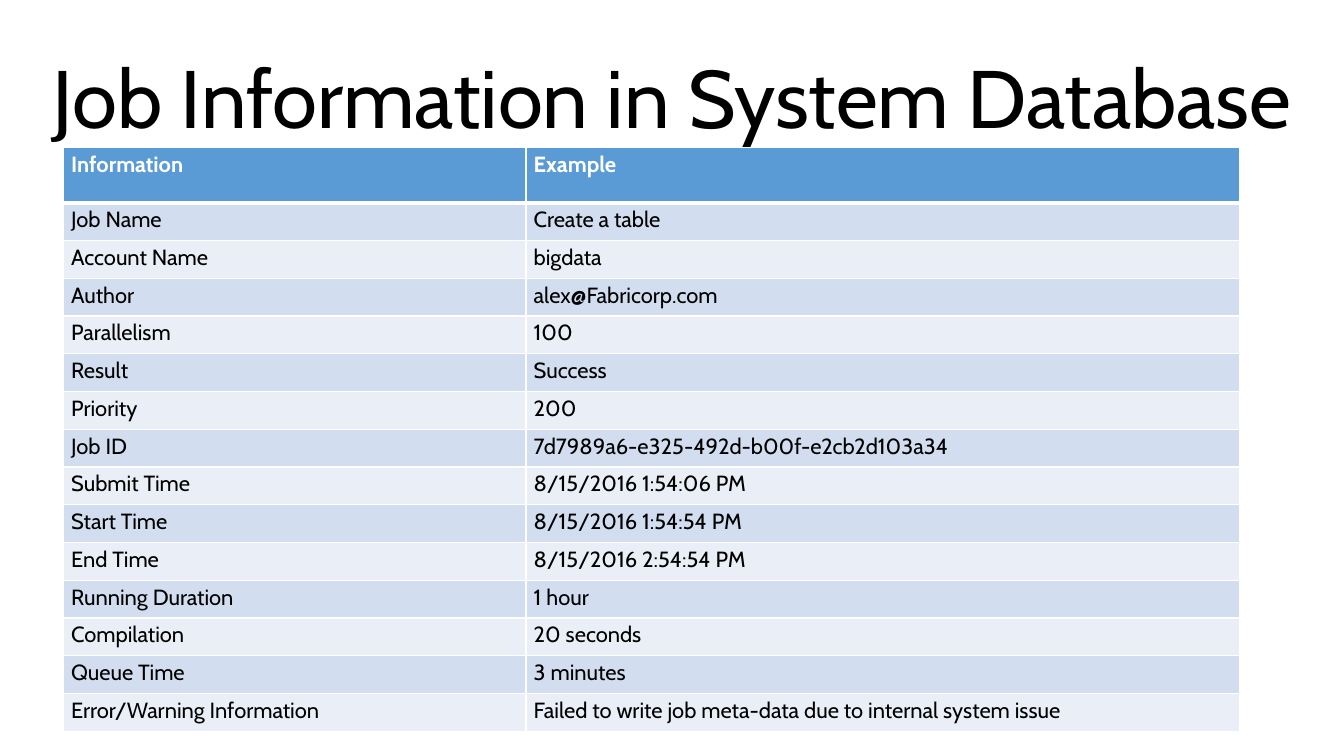
from lxml.etree import SubElement
from pptx import Presentation
from pptx.dml.color import RGBColor
from pptx.enum.text import MSO_ANCHOR, PP_ALIGN
from pptx.oxml.ns import qn
from pptx.util import Pt

FONT = "Cabin"
COLOURS = {
    "text": "000000",
    "white": "FFFFFF",
    "header": "5B9BD5",
    "odd_row": "D2DEEF",
    "even_row": "EAEFF7",
}
JOB_ROWS = [
    ("Information", "Example"),
    ("Job Name", "Create a table"),
    ("Account Name", "bigdata"),
    ("Author", "alex@Fabricorp.com"),
    ("Parallelism", "100"),
    ("Result", "Success"),
    ("Priority", "200"),
    ("Job ID", "7d7989a6-e325-492d-b00f-e2cb2d103a34"),
    ("Submit Time", "8/15/2016 1:54:06 PM"),
    ("Start Time", "8/15/2016 1:54:54 PM"),
    ("End Time", "8/15/2016 2:54:54 PM"),
    ("Running Duration", "1 hour"),
    ("Compilation", "20 seconds"),
    ("Queue Time", "3 minutes"),
    ("Error/Warning Information",
     "Failed to write job meta-data due to internal system issue"),
]
COLUMN_WIDTHS = (337, 520)
HEADER_HEIGHT = 40.3
ROW_HEIGHT = 27.5


def write_text(frame, text, size=16, colour="text", bold=False,
               align=PP_ALIGN.LEFT, line_spacing=1.0):
    frame.word_wrap = True
    para = frame.paragraphs[0]
    para.alignment = align
    para.line_spacing = line_spacing
    span = para.add_run()
    span.text = text
    span.font.name = FONT
    span.font.size = Pt(size)
    span.font.bold = bold
    span.font.color.rgb = RGBColor.from_string(COLOURS[colour])


def add_title(page, text):
    box = page.shapes.add_textbox(Pt(15), Pt(15), Pt(949), Pt(119.5))
    box.text_frame.vertical_anchor = MSO_ANCHOR.MIDDLE
    write_text(box.text_frame, text, size=59.4, align=PP_ALIGN.CENTER,
               line_spacing=0.9)


def set_borders(cell, **widths):
    """Draw white borders; keywords L, R, T and B give widths in points."""
    properties = cell._tc.get_or_add_tcPr()
    for side in "LRTB":
        line = SubElement(properties, qn("a:ln" + side),
                          w=str(Pt(widths.get(side, 1))))
        fill = SubElement(line, qn("a:solidFill"))
        SubElement(fill, qn("a:srgbClr"), val=COLOURS["white"])


def format_cell(cell, text, row):
    header = row == 0
    cell.margin_left = cell.margin_right = Pt(5.6)
    cell.margin_top = cell.margin_bottom = Pt(2.8)
    # The header rule is shared with the top of the first body row
    set_borders(cell, T=3 if row == 1 else 1, B=3 if header else 1)
    band = "header" if header else "odd_row" if row % 2 else "even_row"
    cell.fill.solid()
    cell.fill.fore_color.rgb = RGBColor.from_string(COLOURS[band])
    write_text(cell.text_frame, text, bold=header,
               colour="white" if header else "text")


def add_job_table(page, rows):
    height = HEADER_HEIGHT + ROW_HEIGHT * (len(rows) - 1)
    table = page.shapes.add_table(
        len(rows), len(COLUMN_WIDTHS), Pt(46.3), Pt(107.5),
        Pt(sum(COLUMN_WIDTHS)), Pt(height)).table
    for column, width in zip(table.columns, COLUMN_WIDTHS):
        column.width = Pt(width)
    for row, texts in enumerate(rows):
        table.rows[row].height = Pt(ROW_HEIGHT if row else HEADER_HEIGHT)
        for column, text in enumerate(texts):
            format_cell(table.cell(row, column), text, row)


def main():
    deck = Presentation()
    deck.slide_width, deck.slide_height = Pt(979.2), Pt(550.8)
    page = deck.slides.add_slide(deck.slide_layouts[6])

    # Heading
    add_title(page, "Job Information in System Database")

    # Job fields with example values
    add_job_table(page, JOB_ROWS)

    deck.save("out.pptx")


main()
